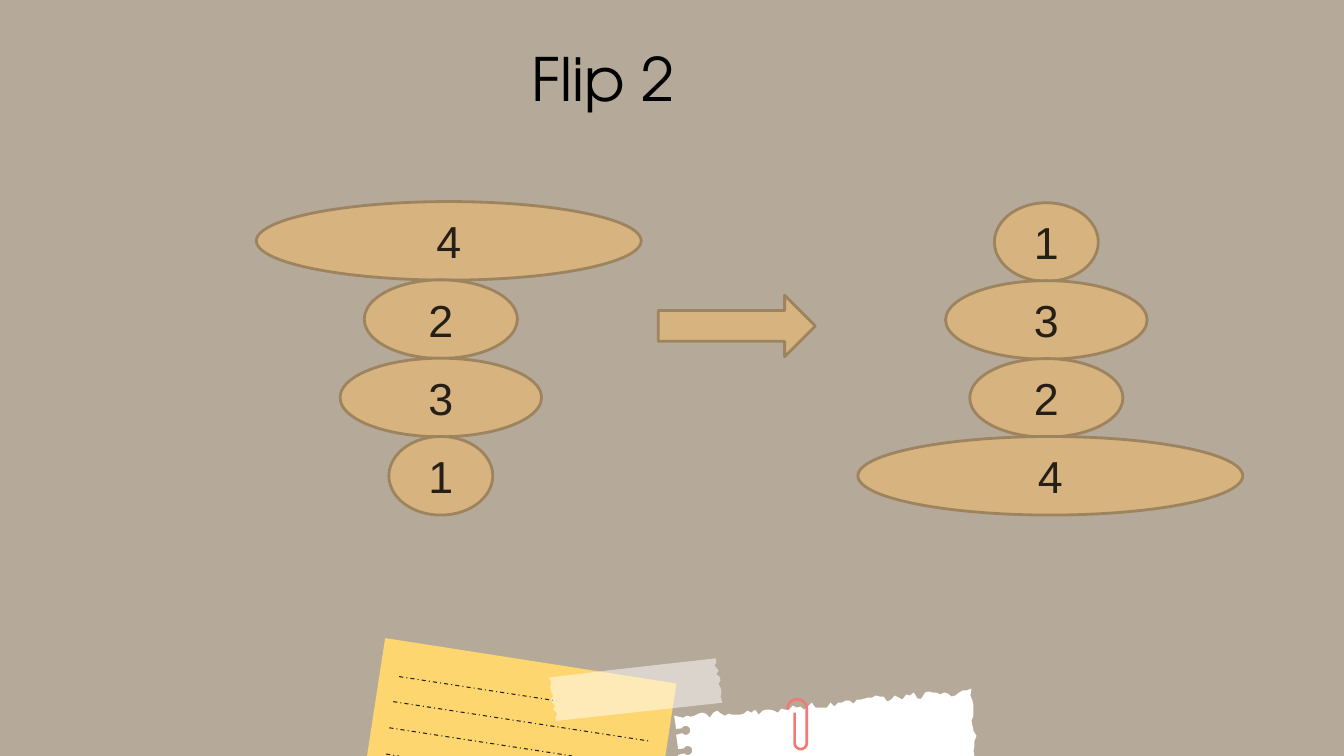
from dataclasses import dataclass
from math import cos, radians, sin

from lxml import etree
from pptx import Presentation
from pptx import util as u
from pptx.dml.color import RGBColor
from pptx.enum import dml, shapes, text
from pptx.oxml import ns

Cm = u.Cm


@dataclass(frozen=True)
class Theme:
    backdrop: str = "B5AA99"
    pancake: str = "D6B37F"
    rim: str = "9E845E"
    ink: str = "251F18"
    black: str = "000000"
    note: str = "FDD670"
    paper: str = "FFFFFF"
    clip: str = "F27977"
    title_font: str = "TeX Gyre Adventor"
    label_font: str = "Arial"
    title_size: float = 42.7
    label_size: float = 32
    rim_width: float = 2
    rule_width: float = 0.75
    clip_width: float = 1.9


@dataclass(frozen=True)
class Box:
    left: float
    top: float
    width: float
    height: float

    def lengths(self):
        return Cm(self.left), Cm(self.top), Cm(self.width), Cm(self.height)


THEME = Theme()
GRAIN = Cm(0.0254)
PANCAKE_WIDTHS = {"1": 2.62, "2": 3.86, "3": 5.08, "4": 9.7}
PANCAKE_HEIGHT = 1.98
TORN_TOP = [
    29, 27, 28, 27, 25, 24, 25, 29, 24, 22, 25, 27, 25, 26, 26, 26, 25, 22, 24,
    21, 26, 22, 21, 21, 22, 24, 20, 21, 21, 17, 19, 18, 21, 18, 14, 19, 19, 19,
    19, 14, 18, 14, 14, 12, 12, 15, 11, 11, 10, 9, 9, 7, 8, 8, 13, 11, 7, 9, 11,
    6, 7, 4, 10, 10, 4, 3, 4, 4, 6, 4, 5, 8, 7, 4, 2, 2,
]
TORN_RIGHT = [294, 296, 297, 297, 297, 295, 296, 297, 300, 298, 298, 297, 298]
TAPE_OUTLINE = [
    (165, 0), (166, 4), (164, 7), (168, 12), (166, 16), (169, 18), (170, 22),
    (168, 25), (170, 29), (171, 33), (170, 38), (172, 44), (7, 62), (6, 59),
    (8, 55), (4, 50), (6, 47), (3, 44), (2, 40), (4, 37), (2, 33), (1, 29),
    (2, 24), (0, 19), (58, 12),
]


def color(value):
    return RGBColor.from_string(value)


def paint(shape, fill=None, line=None, width=0):
    shape.shadow.inherit = False
    if fill:
        shape.fill.solid()
        shape.fill.fore_color.rgb = color(fill)
    else:
        shape.fill.background()
    if line:
        shape.line.color.rgb = color(line)
        shape.line.width = u.Pt(width)
    else:
        shape.line.fill.background()


def write(shape, words, font, size, ink):
    frame = shape.text_frame
    frame.word_wrap = True
    para = frame.paragraphs[0]
    para.alignment = text.PP_ALIGN.CENTER
    span = para.add_run()
    span.text = words
    span.font.name = font
    span.font.size = u.Pt(size)
    span.font.color.rgb = color(ink)


def arc(center_x, center_y, radius, start, end, steps=16):
    angles = [radians(start + (end - start) * i / steps) for i in range(steps + 1)]
    return [(center_x + radius * cos(a), center_y + radius * sin(a)) for a in angles]


def add_outline(page, box, points, close=True):
    scaled = [(round(x * GRAIN), round(y * GRAIN)) for x, y in points]
    builder = page.shapes.build_freeform(*scaled[0])
    builder.add_line_segments(scaled[1:], close=close)
    return builder.convert_to_shape(Cm(box.left), Cm(box.top))


def add_note(page, box):
    bottom = box.height
    corners = [(18, 0), (307, 45), (296, 117), (0, 117)]
    paint(add_outline(page, box, corners), THEME.note)
    slope = 0.154
    for x, y, reach in [(0.81, 0.97, 3.96), (0.66, 1.6, 6.45),
                        (0.56, 2.26, 6.45), (0.48, 2.92, 6.45)]:
        reach = min(reach, (bottom - y) / slope)
        left, top = box.left + x, box.top + y
        rule = page.shapes.add_connector(
            shapes.MSO_CONNECTOR.STRAIGHT, Cm(left), Cm(top),
            Cm(left + reach), Cm(top + reach * slope))
        rule.line.color.rgb = color(THEME.ink)
        rule.line.width = u.Pt(THEME.rule_width)
        rule.line.dash_style = dml.MSO_LINE.DASH_DOT
        etree.SubElement(rule.element.spPr, ns.qn("a:effectLst"))


def add_tape(page, box):
    tape = add_outline(page, box, TAPE_OUTLINE)
    paint(tape, THEME.paper)
    tint = tape.element.spPr.find(ns.qn("a:solidFill")).find(ns.qn("a:srgbClr"))
    etree.SubElement(tint, ns.qn("a:alpha"), val="50000")


def add_torn_paper(page, box):
    points = [(0, 27)]
    points += [(9 + 3.75 * i, y) for i, y in enumerate(TORN_TOP)]
    points += [(295, 0)]
    points += [(x, 7 + 5 * i) for i, x in enumerate(TORN_RIGHT)]
    points += [(4, 67)]
    for shift_x, shift_y in [(2, 20), (0, 0)]:
        notch = [(2, 46), *arc(11.5, 41.5, 4.5, 500, 205), (2, 40)]
        points += [(x + shift_x, y + shift_y) for x, y in notch]
    paint(add_outline(page, box, points), THEME.paper)


def add_paper_clip(page, box):
    wire = [(1.5, 12), *arc(11, 11, 9.5, 180, 360),
            *arc(14.5, 45, 6, 0, 180), (8.5, 15)]
    paint(add_outline(page, box, wire, close=False), None, THEME.clip, THEME.clip_width)


def add_title(page, box, words):
    title = page.shapes.add_textbox(*box.lengths())
    write(title, words, THEME.title_font, THEME.title_size, THEME.black)


def add_stack(page, box, order, lean):
    pitch = (box.height - PANCAKE_HEIGHT) / (len(order) - 1)
    for row, label in enumerate(order):
        width = PANCAKE_WIDTHS[label]
        left = box.left + (box.width - width) / 2
        if width < box.width:
            left -= lean
        place = Box(left, box.top + row * pitch, width, PANCAKE_HEIGHT)
        pancake = page.shapes.add_shape(shapes.MSO_SHAPE.OVAL, *place.lengths())
        paint(pancake, THEME.pancake, THEME.rim, THEME.rim_width)
        pancake.text_frame.vertical_anchor = text.MSO_ANCHOR.MIDDLE
        write(pancake, label, THEME.label_font, THEME.label_size, THEME.ink)


def add_flip_arrow(page, box):
    arrow = page.shapes.add_shape(shapes.MSO_SHAPE.RIGHT_ARROW, *box.lengths())
    paint(arrow, THEME.pancake, THEME.rim, THEME.rim_width)


def main():
    deck = Presentation()
    deck.slide_width, deck.slide_height = Cm(33.87), Cm(19.05)
    page = deck.slides.add_slide(deck.slide_layouts[6])
    page.background.fill.solid()
    page.background.fill.fore_color.rgb = color(THEME.backdrop)
    add_note(page, Box(9.25, 16.08, 7.8, 2.97))
    add_tape(page, Box(13.84, 16.59, 4.37, 1.57))
    add_torn_paper(page, Box(16.99, 17.35, 7.62, 1.7))
    add_paper_clip(page, Box(19.81, 17.58, 0.56, 1.32))
    add_title(page, Box(9.47, 0.94, 11.46, 2.08), "Flip 2")
    add_stack(page, Box(6.46, 5.08, 9.7, 7.9), "4231", 0.2)
    add_flip_arrow(page, Box(16.59, 7.44, 3.96, 1.55))
    add_stack(page, Box(21.62, 5.11, 9.7, 7.87), "1324", 0.1)
    deck.save("out.pptx")


if __name__ == "__main__":
    main()
